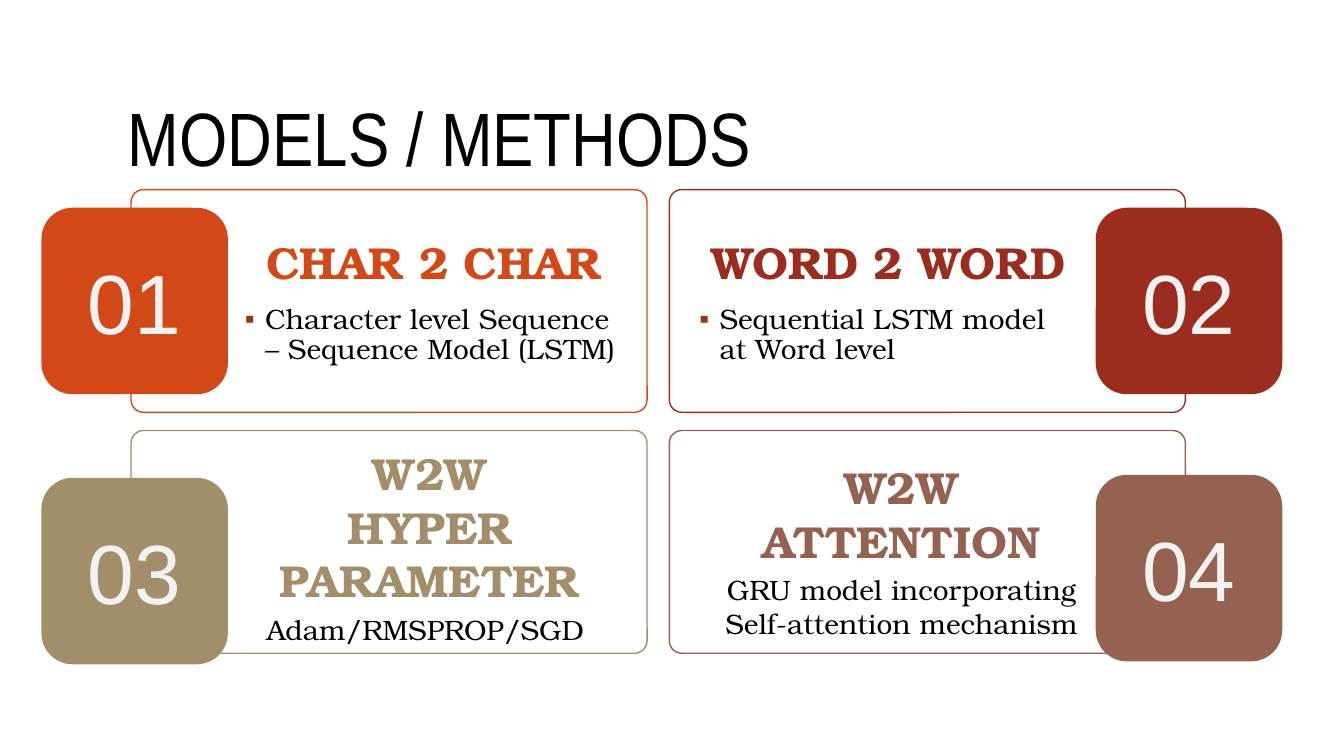
from lxml import etree
from pptx import Presentation
from pptx.dml.color import RGBColor
from pptx.enum.shapes import MSO_SHAPE as Shape
from pptx.enum.text import MSO_ANCHOR as Anchor, PP_ALIGN as Align
from pptx.oxml.ns import qn
from pptx.util import Pt

BLACK = RGBColor(0x00, 0x00, 0x00)
PALE = RGBColor(0xF2, 0xF2, 0xF2)
BULLET = "9E3611"
ORANGE = RGBColor(0xD3, 0x48, 0x17)
RED = RGBColor(0x9B, 0x2D, 0x1F)
TAN = RGBColor(0xA2, 0x8E, 0x6A)
BROWN = RGBColor(0x95, 0x62, 0x51)
SERIF = "TeX Gyre Bonum"

GRID_LEFT, GRID_TOP = 93.6, 135.4
CARD_W, CARD_H = 368.6, 159.1
STEP_X, STEP_Y = 384.5, 172.1
BADGE = 133.2
BADGE_DX = (-64, 304.6)  # left column, right column

# number, colour, heading lines, detail, bulleted, badge drop, text box in card
CARDS = [
    ("01", ORANGE, ["CHAR 2 CHAR"], "Character level Sequence – Sequence Model (LSTM)",
     True, 13, (74.2, 28.8, 284.4, 101.5)),
    ("02", RED, ["WORD 2 WORD"], "Sequential LSTM model at Word level",
     True, 13, (14.4, 28.8, 284.4, 101.5)),
    ("03", TAN, ["W2W", "HYPER PARAMETER"], "Adam/RMSPROP/SGD ",
     False, 33.8, (58.3, 7.2, 310.3, 144.7)),
    ("04", BROWN, ["W2W", "ATTENTION"], "GRU model incorporating Self-attention mechanism",
     False, 31.7, (19.4, 17.3, 293, 133.2)),
]


def write(paragraph, text, size, font, color, bold=False):
    run = paragraph.add_run()
    run.text = text
    run.font.size = Pt(size)
    run.font.name = font
    run.font.bold = bold
    run.font.color.rgb = color


def text_frame(slide, left, top, width, height):
    box = slide.shapes.add_textbox(Pt(left), Pt(top), Pt(width), Pt(height))
    box.text_frame.word_wrap = True
    return box.text_frame


def rounded(slide, left, top, width, height, corner):
    shape = slide.shapes.add_shape(Shape.ROUNDED_RECTANGLE,
                                   Pt(left), Pt(top), Pt(width), Pt(height))
    shape.adjustments[0] = corner
    shape.shadow.inherit = False
    return shape


def add_bullet(paragraph):
    props = paragraph._p.get_or_add_pPr()
    props.set("marL", str(Pt(14.4)))
    props.set("indent", str(-Pt(14.4)))
    color = etree.SubElement(props, qn("a:buClr"))
    etree.SubElement(color, qn("a:srgbClr"), val=BULLET)
    etree.SubElement(props, qn("a:buFont"), typeface="Arial")
    etree.SubElement(props, qn("a:buChar"), char="▪")


def add_title(slide, left, top, width, height):
    frame = text_frame(slide, left, top, width, height)
    frame.vertical_anchor = Anchor.MIDDLE
    title = frame.paragraphs[0]
    title.line_spacing = 0.9
    write(title, "MODELS / METHODS", 54, "Arial Narrow", BLACK)


def add_badge(slide, left, top, number, color):
    badge = rounded(slide, left, top, BADGE, BADGE, 0.167)
    badge.fill.solid()
    badge.fill.fore_color.rgb = color
    badge.line.fill.background()
    badge.text_frame.vertical_anchor = Anchor.MIDDLE
    label = badge.text_frame.paragraphs[0]
    label.alignment = Align.CENTER
    write(label, number, 60, "Arial", PALE)


def add_card(slide, left, top, badge_dx, card):
    number, color, headings, detail, bulleted, badge_dy, (dx, dy, width, height) = card

    # Outline
    outline = rounded(slide, left, top, CARD_W, CARD_H, 0.056)
    outline.fill.background()
    outline.line.color.rgb = color
    outline.line.width = Pt(1)

    # Heading and detail
    frame = text_frame(slide, left + dx, top + dy, width, height)
    for i, heading in enumerate(headings):
        line = frame.add_paragraph() if i else frame.paragraphs[0]
        line.alignment = Align.CENTER
        write(line, heading, 32, SERIF, color, bold=True)
    description = frame.add_paragraph()
    if bulleted:
        description.line_spacing = 0.9
        description.space_before = Pt(12)
        add_bullet(description)
    else:
        description.alignment = Align.CENTER
        description.space_before = Pt(4)
    write(description, detail, 20, SERIF, BLACK)

    # Number badge over the outer edge
    add_badge(slide, left + badge_dx, top + badge_dy, number, color)


def main():
    deck = Presentation()
    deck.slide_width, deck.slide_height = Pt(960), Pt(540)
    slide = deck.slides.add_slide(deck.slide_layouts[6])
    add_title(slide, 84.2, 38.2, 792, 126.7)
    for i, card in enumerate(CARDS):
        row, column = divmod(i, 2)
        add_card(slide, GRID_LEFT + column * STEP_X, GRID_TOP + row * STEP_Y,
                 BADGE_DX[column], card)
    deck.save("out.pptx")


if __name__ == "__main__":
    main()
